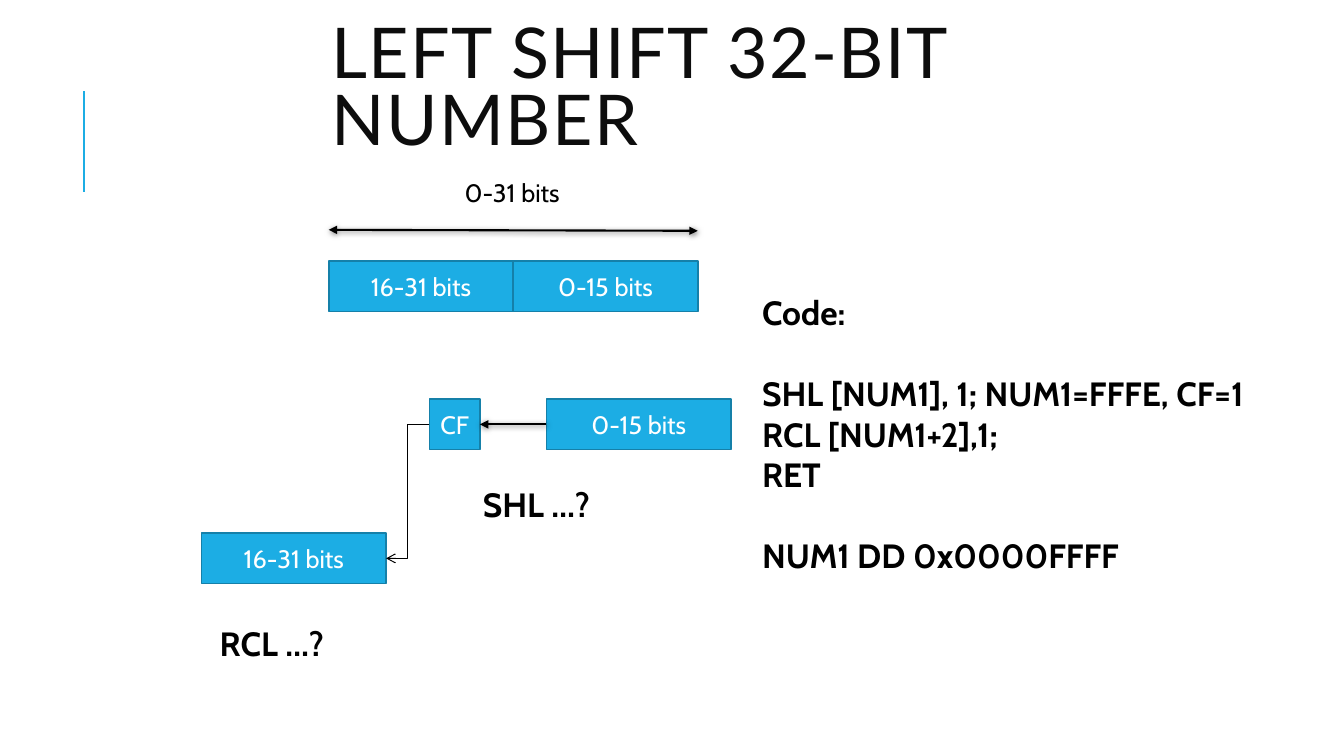
from pptx import Presentation
from pptx.dml.color import RGBColor
from pptx.enum.shapes import MSO_CONNECTOR, MSO_SHAPE
from pptx.enum.text import MSO_ANCHOR, PP_ALIGN
from pptx.util import Inches, Pt
from lxml.etree import SubElement
from pptx.oxml.ns import qn

BLUE, BLACK = "1CADE4", "000000"


def color(value):
    return RGBColor.from_string(value)


def write(box, lines, size, font="Cabin", ink=BLACK, bold=False, align=PP_ALIGN.LEFT):
    frame = box.text_frame
    frame.word_wrap = True
    for index, line in enumerate(lines):
        para = frame.paragraphs[0] if index == 0 else frame.add_paragraph()
        para.text = line
        para.alignment = align
        para.font.name, para.font.size, para.font.bold = font, Pt(size), bold
        para.font.color.rgb = color(ink)
    return frame


deck = Presentation()
deck.slide_width, deck.slide_height = Inches(13.33), Inches(7.5)
page = deck.slides.add_slide(deck.slide_layouts[6])

# Title
title = page.shapes.add_textbox(Inches(3.19), Inches(0.1), Inches(8.12), Inches(1.62))
frame = write(title, ["LEFT SHIFT 32-BIT NUMBER"], 50, "Lato", "0D0D0D")
frame.vertical_anchor = MSO_ANCHOR.MIDDLE
frame.paragraphs[0].line_spacing = 0.8
frame.paragraphs[0].runs[0].font._element.set("spc", "100")

# Register halves and carry flag
for left, top, width, label in [
    (3.26, 2.59, 1.83, "16-31 bits"),
    (5.09, 2.59, 1.83, "0-15 bits"),
    (4.26, 3.96, 0.5, "CF"),
    (5.42, 3.96, 1.83, "0-15 bits"),
    (2, 5.29, 1.83, "16-31 bits"),
]:
    box = page.shapes.add_shape(MSO_SHAPE.RECTANGLE, Inches(left), Inches(top), Inches(width), Inches(0.5))
    box.shadow.inherit = False
    box.fill.solid()
    box.fill.fore_color.rgb = color(BLUE)
    box.line.color.rgb = color("1580A9")
    box.line.width = Pt(1.25)
    frame = write(box, [label], 18, ink="FFFFFF", align=PP_ALIGN.CENTER)
    frame.vertical_anchor = MSO_ANCHOR.MIDDLE

# Accent line, span arrow, shift arrow, carry arrow
STRAIGHT, ELBOW = MSO_CONNECTOR.STRAIGHT, MSO_CONNECTOR.ELBOW
for kind, x1, y1, x2, y2, ink, weight, ends, shaded in [
    (STRAIGHT, 0.83, 1.9, 0.83, 0.9, BLUE, 1.5, {}, False),
    (STRAIGHT, 3.26, 2.28, 6.92, 2.29, BLACK, 1.5, {"headEnd": "triangle", "tailEnd": "triangle"}, True),
    (STRAIGHT, 5.42, 4.21, 4.76, 4.21, BLACK, 1.5, {"tailEnd": "triangle"}, True),
    (ELBOW, 4.26, 4.21, 3.83, 5.54, BLACK, 0.75, {"tailEnd": "arrow"}, False),
]:
    line = page.shapes.add_connector(kind, Inches(x1), Inches(y1), Inches(x2), Inches(y2))
    line.line.color.rgb = color(ink)
    line.line.width = Pt(weight)
    for end, head in ends.items():
        SubElement(line.line._get_or_add_ln(), qn(f"a:{end}"), type=head)
    effects = SubElement(line._element.spPr, qn("a:effectLst"))
    if shaded:
        shadow = SubElement(effects, qn("a:outerShdw"), blurRad=str(Pt(4)), dist=str(Pt(1)), dir="5400000")
        shade = SubElement(shadow, qn("a:srgbClr"), val=BLACK)
        SubElement(shade, qn("a:alpha"), val="50000")

# Captions
for left, top, width, height, text, size, bold, align in [
    (3.83, 1.71, 2.5, 0.4, "0-31 bits", 18, False, PP_ALIGN.CENTER),
    (4.69, 4.75, 3.17, 0.5, "SHL …?", 24, True, PP_ALIGN.LEFT),
    (2.08, 6.13, 3.17, 0.5, "RCL …?", 24, True, PP_ALIGN.LEFT),
]:
    caption = page.shapes.add_textbox(Inches(left), Inches(top), Inches(width), Inches(height))
    write(caption, [text], size, bold=bold, align=align)

# Code listing, with a line of space before each new section
code = page.shapes.add_textbox(Inches(7.46), Inches(2.85), Inches(5.21), Inches(2.93))
frame = write(code, [
    "Code:",
    "SHL [NUM1], 1; NUM1=FFFE, CF=1",
    "RCL [NUM1+2],1;",
    "RET",
    "NUM1 DD 0x0000FFFF",
], 24, bold=True)
for section in (1, 4):
    frame.paragraphs[section].space_before = Pt(29)

deck.save("out.pptx")
